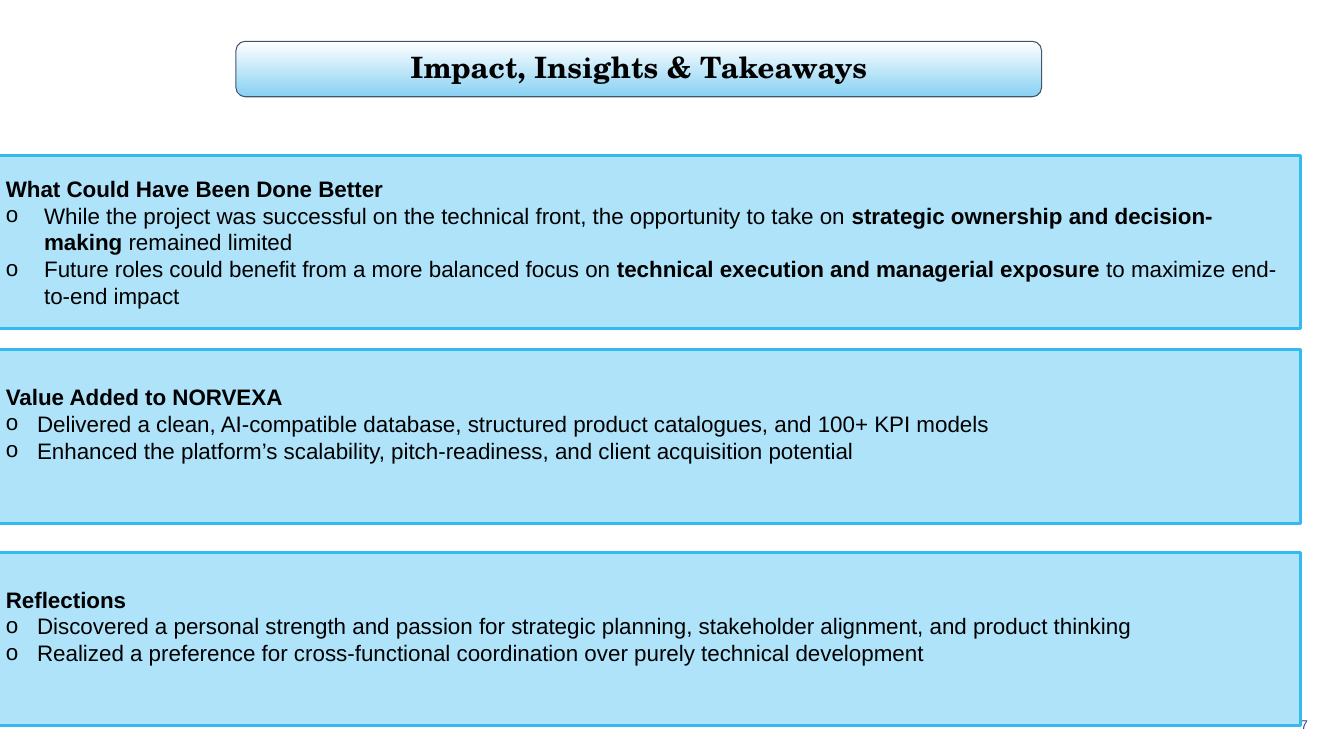
from lxml import etree
from pptx import Presentation
from pptx.dml.color import RGBColor
from pptx.enum import shapes, text
from pptx.oxml import ns
from pptx.util import Inches, Pt

COLORS = {
    "panel": "AEE3F9",
    "panel_line": "34B9F0",
    "title_top": "FFFFFF",
    "title_bottom": "88D1F3",
    "title_line": "44546A",
    "text": "000000",
    "number": "293D80",
}
COLORS = {name: RGBColor.from_string(value) for name, value in COLORS.items()}

# Each panel: top, bullet indent, bottom inset, heading, bullets.
# Each bullet is a list of runs, alternating regular and bold.
PANELS = [
    (1.54, 0.38, 0.05, "What Could Have Been Done Better", [
        ["While the project was successful on the technical front, the opportunity to take on ",
         "strategic ownership and decision-making", " remained limited"],
        ["Future roles could benefit from a more balanced focus on ",
         "technical execution and managerial exposure", " to maximize end-to-end impact"],
    ]),
    (3.47, 0.31, 0.31, "Value Added to NORVEXA", [
        ["Delivered a clean, AI-compatible database, structured product catalogues, "
         "and 100+ KPI models"],
        ["Enhanced the platform’s scalability, pitch-readiness, and client acquisition potential"],
    ]),
    (5.48, 0.31, 0.31, "Reflections", [
        ["Discovered a personal strength and passion for strategic planning, "
         "stakeholder alignment, and product thinking"],
        ["Realized a preference for cross-functional coordination over purely "
         "technical development"],
    ]),
]


def style_paragraph(para, size, color, name="Arial", align=text.PP_ALIGN.LEFT):
    para.alignment = align
    para.font.size = Pt(size)
    para.font.name = name
    para.font.color.rgb = COLORS[color]


def add_bullet(para, indent):
    """Give the paragraph a hanging "o" bullet."""
    props = para._p.get_or_add_pPr()
    props.set("marL", str(Inches(indent)))
    props.set("indent", str(-Inches(indent)))
    etree.SubElement(props, ns.qn("a:buFont"), typeface="Arial")
    etree.SubElement(props, ns.qn("a:buChar"), char="o")


deck = Presentation()
deck.slide_width = Inches(13.33)
deck.slide_height = Inches(7.5)
page = deck.slides.add_slide(deck.slide_layouts[6])

# Slide number
number = page.shapes.add_textbox(Inches(12.12), Inches(7.06), Inches(0.95), Inches(0.25))
number.text_frame.word_wrap = True
number.text_frame.vertical_anchor = text.MSO_ANCHOR.MIDDLE
para = number.text_frame.paragraphs[0]
para.text = "7"
style_paragraph(para, 9, "number", align=text.PP_ALIGN.RIGHT)

# Text panels
for top, indent, bottom_inset, heading, bullets in PANELS:
    panel = page.shapes.add_shape(
        shapes.MSO_SHAPE.RECTANGLE, Inches(-0.04), Inches(top), Inches(12.94), Inches(1.72))
    panel.shadow.inherit = False
    panel.fill.solid()
    panel.fill.fore_color.rgb = COLORS["panel"]
    panel.line.color.rgb = COLORS["panel_line"]
    panel.line.width = Pt(2)
    frame = panel.text_frame
    frame.word_wrap = True
    frame.vertical_anchor = text.MSO_ANCHOR.MIDDLE
    frame.margin_bottom = Inches(bottom_inset)

    para = frame.paragraphs[0]
    para.text = heading
    style_paragraph(para, 16, "text")
    para.font.bold = True
    for runs in bullets:
        para = frame.add_paragraph()
        add_bullet(para, indent)
        style_paragraph(para, 16, "text")
        for index, words in enumerate(runs):
            span = para.add_run()
            span.text = words
            span.font.bold = index % 2 == 1

# Title
title = page.shapes.add_shape(
    shapes.MSO_SHAPE.ROUNDED_RECTANGLE, Inches(2.34), Inches(0.41), Inches(7.99), Inches(0.55))
title.shadow.inherit = False
title.fill.gradient()
title.fill.gradient_angle = 270
for stop, color in zip(title.fill.gradient_stops, ("title_top", "title_bottom")):
    stop.color.rgb = COLORS[color]
title.line.color.rgb = COLORS["title_line"]
title.line.width = Pt(0.75)
frame = title.text_frame
frame.word_wrap = True
frame.vertical_anchor = text.MSO_ANCHOR.MIDDLE
frame.margin_top = frame.margin_bottom = Inches(0.1)
para = frame.paragraphs[0]
para.text = "Impact, Insights & Takeaways"
para.line_spacing = 0.9
style_paragraph(para, 21, "text", "TeX Gyre Schola", text.PP_ALIGN.CENTER)
para.font.bold = True

deck.save("out.pptx")
